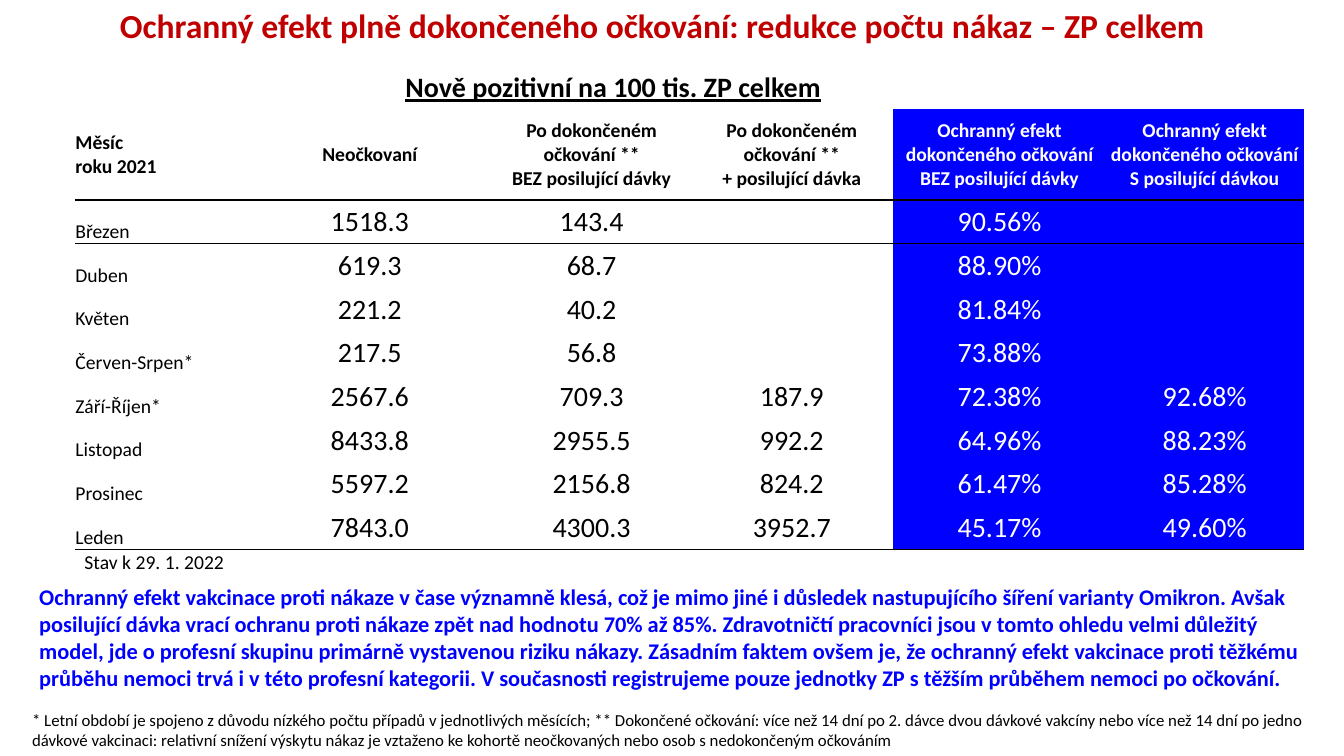
"""Builds a slide on the protective effect of completed vaccination."""
import dataclasses

import lxml.etree
import pptx
import pptx.dml.color
import pptx.enum.text
import pptx.oxml.ns
import pptx.util

Cm = pptx.util.Cm
Align = pptx.enum.text.PP_ALIGN
Anchor = pptx.enum.text.MSO_ANCHOR


@dataclasses.dataclass(frozen=True)
class Theme:
    """Colours, font and type sizes."""
    font: str = "Calibri"
    black: str = "000000"
    white: str = "FFFFFF"
    red: str = "C00000"
    blue: str = "0000FF"
    title: int = 24
    large: int = 20
    message: int = 16
    label: int = 14
    note: int = 12
    plain_table: str = "{2D5ABB26-0587-4C30-8999-92F81FD0307C}"


class SlideBuilder:
    """Holds the theme and the current slide."""

    def __init__(self, deck, theme):
        """Adds a title-only slide."""
        self.theme = theme
        self.slide = deck.slides.add_slide(deck.slide_layouts[5])

    def add_span(self, para, text, size, color, bold=False, underline=False):
        """Adds one formatted run."""
        span = para.add_run()
        span.text = text
        span.font.name = self.theme.font
        span.font.size = pptx.util.Pt(size)
        span.font.color.rgb = pptx.dml.color.RGBColor.from_string(color)
        span.font.bold = bold
        span.font.underline = underline

    def title(self, text, place):
        """Moves and fills the title placeholder."""
        box = self.slide.shapes.title
        box.left, box.top, box.width, box.height = map(Cm, place)
        box.text_frame.vertical_anchor = Anchor.TOP
        box.text_frame.word_wrap = True
        para = box.text_frame.paragraphs[0]
        para.alignment = Align.CENTER
        para.line_spacing = 0.9
        self.add_span(para, text, self.theme.title, self.theme.red, bold=True)

    def text(self, text, place, size, color, align=Align.LEFT, **style):
        """Adds a wrapped text box."""
        box = self.slide.shapes.add_textbox(*map(Cm, place))
        frame = box.text_frame
        frame.word_wrap = True
        frame.auto_size = pptx.enum.text.MSO_AUTO_SIZE.SHAPE_TO_FIT_TEXT
        para = frame.paragraphs[0]
        para.alignment = align
        self.add_span(para, text, size, color, **style)

    def rule(self, cell, edge):
        """Draws a one-point black line on a cell edge."""
        line = lxml.etree.Element(pptx.oxml.ns.qn(f"a:{edge}"), w="12700")
        fill = lxml.etree.SubElement(line, pptx.oxml.ns.qn("a:solidFill"))
        lxml.etree.SubElement(fill, pptx.oxml.ns.qn("a:srgbClr"), val=self.theme.black)
        cell._tc.get_or_add_tcPr().insert(0, line)

    def cell(self, cell, text, size, bold, first, filled):
        """Formats and fills one table cell."""
        cell.margin_left = cell.margin_right = cell.margin_top = Cm(0.02)
        cell.margin_bottom = 0
        cell.vertical_anchor = Anchor.BOTTOM if first and not bold else Anchor.MIDDLE
        if filled:
            cell.fill.solid()
            cell.fill.fore_color.rgb = pptx.dml.color.RGBColor.from_string(self.theme.blue)
        else:
            cell.fill.background()
        color = self.theme.white if filled else self.theme.black
        for index, line in enumerate(text.split("\n") if text else []):
            frame = cell.text_frame
            para = frame.add_paragraph() if index else frame.paragraphs[0]
            para.alignment = Align.LEFT if first else Align.CENTER
            self.add_span(para, line, size, color, bold=bold)

    def table(self, header, rows, place, widths, row_height, header_height):
        """Adds the table under an empty, partly merged top row."""
        lines = [[""] * len(header), header, *rows]
        frame = self.slide.shapes.add_table(len(lines), len(header), *map(Cm, place))
        table = frame.table
        table.first_row = table.horz_banding = False
        style = table._tbl.tblPr.find(pptx.oxml.ns.qn("a:tableStyleId"))
        style.text = self.theme.plain_table
        for column, width in zip(table.columns, widths):
            column.width = Cm(width)
        edges = {1: "lnB", 2: "lnT", len(lines) - 1: "lnB"}
        for r, line in enumerate(lines):
            table.rows[r].height = Cm(header_height if r == 1 else row_height)
            for c, text in enumerate(line):
                cell = table.cell(r, c)
                size = self.theme.label if r == 1 or c == 0 else self.theme.large
                self.cell(cell, text, size, r == 1, c == 0, r > 0 and c > 3)
                if r in edges:
                    self.rule(cell, edges[r])
        table.cell(0, 2).merge(table.cell(0, 5))


HEADER = [
    "Měsíc\nroku 2021",
    "Neočkovaní",
    "Po dokončeném\nočkování **\nBEZ posilující dávky",
    "Po dokončeném\nočkování **\n+ posilující dávka",
    "Ochranný efekt dokončeného očkování BEZ posilující dávky",
    "Ochranný efekt dokončeného očkování S posilující dávkou",
]
MONTHS = [
    ["Březen", "1518.3", "143.4", "", "90.56%", ""],
    ["Duben", "619.3", "68.7", "", "88.90%", ""],
    ["Květen", "221.2", "40.2", "", "81.84%", ""],
    ["Červen-Srpen*", "217.5", "56.8", "", "73.88%", ""],
    ["Září-Říjen*", "2567.6", "709.3", "187.9", "72.38%", "92.68%"],
    ["Listopad", "8433.8", "2955.5", "992.2", "64.96%", "88.23%"],
    ["Prosinec", "5597.2", "2156.8", "824.2", "61.47%", "85.28%"],
    ["Leden", "7843.0", "4300.3", "3952.7", "45.17%", "49.60%"],
]
MESSAGE = (
    "Ochranný efekt vakcinace proti nákaze v čase významně klesá, což je mimo jiné i důsledek "
    "nastupujícího šíření varianty Omikron. Avšak posilující dávka vrací ochranu proti nákaze "
    "zpět nad hodnotu 70% až 85%. Zdravotničtí pracovníci jsou v tomto ohledu velmi důležitý "
    "model, jde o profesní skupinu primárně vystavenou riziku nákazy. Zásadním faktem ovšem je, "
    "že ochranný efekt vakcinace proti těžkému průběhu nemoci trvá i v této profesní kategorii. "
    "V současnosti registrujeme pouze jednotky ZP s těžším průběhem nemoci po očkování."
)
FOOTNOTE = (
    "* Letní období je spojeno z důvodu nízkého počtu případů v jednotlivých měsících; "
    "** Dokončené očkování: více než 14 dní po 2. dávce dvou dávkové vakcíny nebo více než "
    "14 dní po jedno dávkové vakcinaci: relativní snížení výskytu nákaz je vztaženo ke kohortě "
    "neočkovaných nebo osob s nedokončeným očkováním"
)


def main():
    """Builds and saves the deck."""
    deck = pptx.Presentation()
    deck.slide_width, deck.slide_height = Cm(33.87), Cm(19.05)
    theme = Theme()
    page = SlideBuilder(deck, theme)
    page.title("Ochranný efekt plně dokončeného očkování: redukce počtu nákaz – ZP celkem",
               (0.56, 0.1, 32.26, 3.68))
    page.text("Nově pozitivní na 100 tis. ZP celkem", (9.83, 1.63, 11.25, 1.12),
              theme.large, theme.black, Align.CENTER, bold=True, underline=True)
    page.text(FOOTNOTE, (0.56, 17.75, 32.99, 1.27), theme.note, theme.black)
    page.text(MESSAGE, (0.74, 14.58, 32.69, 3), theme.message, theme.blue, bold=True)
    page.table(HEADER, MONTHS, (1.88, 1.65, 30.97, 12.19),
               (4.34, 6.2, 4.98, 5.11, 5.36, 4.98), 1.1, 2.29)
    page.text("Stav k 29. 1. 2022", (1.88, 13.74, 5.61, 0.86), theme.label, theme.black)
    deck.save("out.pptx")


if __name__ == "__main__":
    main()
